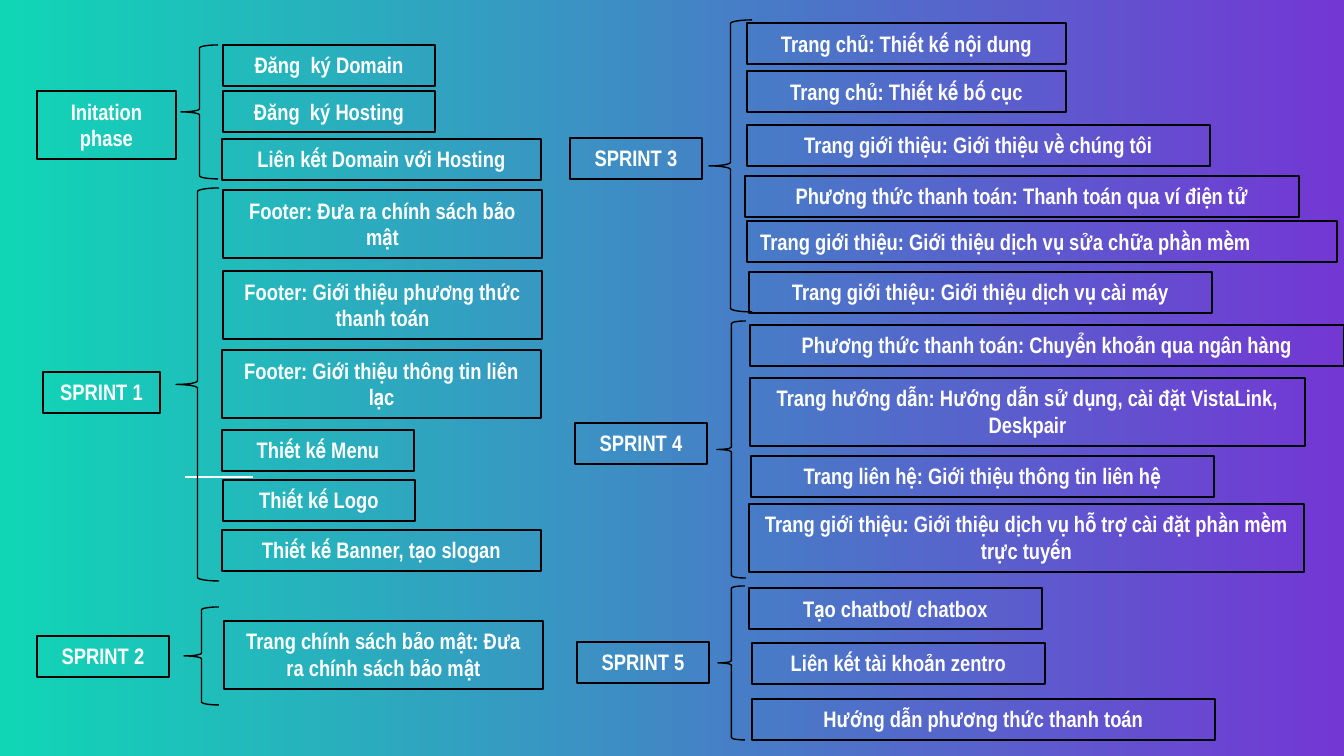
import pptx
import pptx.util
import pptx.dml.color
import pptx.enum.shapes
import pptx.enum.text
import pptx.oxml.ns
import lxml.etree

PX = 914400 / 134.4
COLORS = {"teal": "10D6B6", "violet": "7337D4", "white": "FFFFFF", "black": "000000"}
SHAPE = pptx.enum.shapes.MSO_SHAPE
ALIGN = pptx.enum.text.PP_ALIGN
ONE_LINE, TWO_LINES = 41, 68


def rgb(name):
    return pptx.dml.color.RGBColor.from_string(COLORS[name])


def add_outline(kind, x, y, w, h, text=""):
    sp = s.shapes.add_shape(kind, *[round(v * PX) for v in (x, y, w, h)])
    sp.shadow.inherit = False
    sp.fill.background()
    sp.line.color.rgb = rgb("black")
    sp.line.width = pptx.util.Pt(0.75)
    if text:
        tf = sp.text_frame
        tf.word_wrap = True
        tf.auto_size = pptx.enum.text.MSO_AUTO_SIZE.SHAPE_TO_FIT_TEXT
        tf.vertical_anchor = pptx.enum.text.MSO_ANCHOR.TOP
        p = tf.paragraphs[0]
        p.text = text
        p.alignment = ALIGN.CENTER
        p.font.name = "Arial Narrow"
        p.font.size = pptx.util.Pt(12)
        p.font.bold = True
        p.font.color.rgb = rgb("white")
    return sp


prs = pptx.Presentation()
prs.slide_width = round(1344 * PX)
prs.slide_height = round(756 * PX)
s = prs.slides.add_slide(prs.slide_layouts[6])

fill = s.background.fill
fill.gradient()
fill.gradient_angle = 0
for stop, name, position in zip(fill.gradient_stops, ("teal", "violet"), (0, 1)):
    stop.color.rgb = rgb(name)
    stop.position = position

rule = s.shapes.add_connector(
    pptx.enum.shapes.MSO_CONNECTOR.STRAIGHT, *[round(v * PX) for v in (185, 477, 253, 477)]
)
rule.line.color.rgb = rgb("white")
rule.line.width = pptx.util.Pt(1.5)
lxml.etree.SubElement(rule._element.spPr, pptx.oxml.ns.qn("a:effectLst"))

phases = [
    (("Initation phase", 37, 91, 139, TWO_LINES), (181, 45, 37, 134), [
        ("Đăng  ký Domain", 223, 45, 212, ONE_LINE),
        ("Đăng  ký Hosting", 223, 91, 212, ONE_LINE),
        ("Liên kết Domain với Hosting", 222, 139, 319, ONE_LINE),
    ]),
    (("SPRINT 1", 43, 372, 117, ONE_LINE), (176, 188, 43, 393), [
        ("Footer: Đưa ra chính sách bảo mật", 223, 190, 319, TWO_LINES),
        ("Footer: Giới thiệu phương thức thanh toán", 223, 271, 319, TWO_LINES),
        ("Footer: Giới thiệu thông tin liên lạc", 222, 350, 319, TWO_LINES),
        ("Thiết kế Menu", 222, 430, 192, ONE_LINE),
        ("Thiết kế Logo", 223, 480, 192, ONE_LINE),
        ("Thiết kế Banner, tạo slogan", 222, 530, 319, ONE_LINE),
    ]),
    (("SPRINT 2", 37, 636, 132, ONE_LINE), (184, 607, 35, 98), [
        ("Trang chính sách bảo mật: Đưa ra chính sách bảo mật", 224, 621, 319, TWO_LINES),
    ]),
    (("SPRINT 3", 570, 138, 132, ONE_LINE), (709, 20, 43, 292), [
        ("Trang chủ: Thiết kế nội dung", 747, 23, 319, ONE_LINE),
        ("Trang chủ: Thiết kế bố cục", 747, 71, 319, ONE_LINE),
        ("Trang giới thiệu: Giới thiệu về chúng tôi", 747, 125, 463, ONE_LINE),
        ("Phương thức thanh toán: Thanh toán qua ví điện tử", 745, 176, 554, ONE_LINE),
        ("Trang giới thiệu: Giới thiệu dịch vụ sửa chữa phần mềm", 747, 221, 590, ONE_LINE),
        ("Trang giới thiệu: Giới thiệu dịch vụ cài máy", 749, 272, 463, ONE_LINE),
    ]),
    (("SPRINT 4", 575, 423, 132, ONE_LINE), (717, 321, 29, 257), [
        ("Phương thức thanh toán: Chuyển khoản qua ngân hàng", 750, 325, 594, ONE_LINE),
        ("Trang hướng dẫn: Hướng dẫn sử dụng, cài đặt VistaLink, Deskpair", 750, 378, 555, TWO_LINES),
        ("Trang liên hệ: Giới thiệu thông tin liên hệ", 751, 456, 463, ONE_LINE),
        ("Trang giới thiệu: Giới thiệu dịch vụ hỗ trợ cài đặt phần mềm trực tuyến", 749, 504, 555, TWO_LINES),
    ]),
    (("SPRINT 5", 577, 642, 132, ONE_LINE), (718, 586, 27, 154), [
        ("Tạo chatbot/ chatbox", 749, 588, 293, ONE_LINE),
        ("Liên kết tài khoản zentro", 752, 643, 293, ONE_LINE),
        ("Hướng dẫn phương thức thanh toán", 752, 699, 463, ONE_LINE),
    ]),
]

for title, brace, tasks in phases:
    add_outline(SHAPE.LEFT_BRACE, *brace)
    for text, x, y, w, h in [title, *tasks]:
        sp = add_outline(SHAPE.RECTANGLE, x, y, w, h, text)
        if text.endswith("sửa chữa phần mềm"):
            sp.text_frame.paragraphs[0].alignment = ALIGN.LEFT

prs.save("out.pptx")
